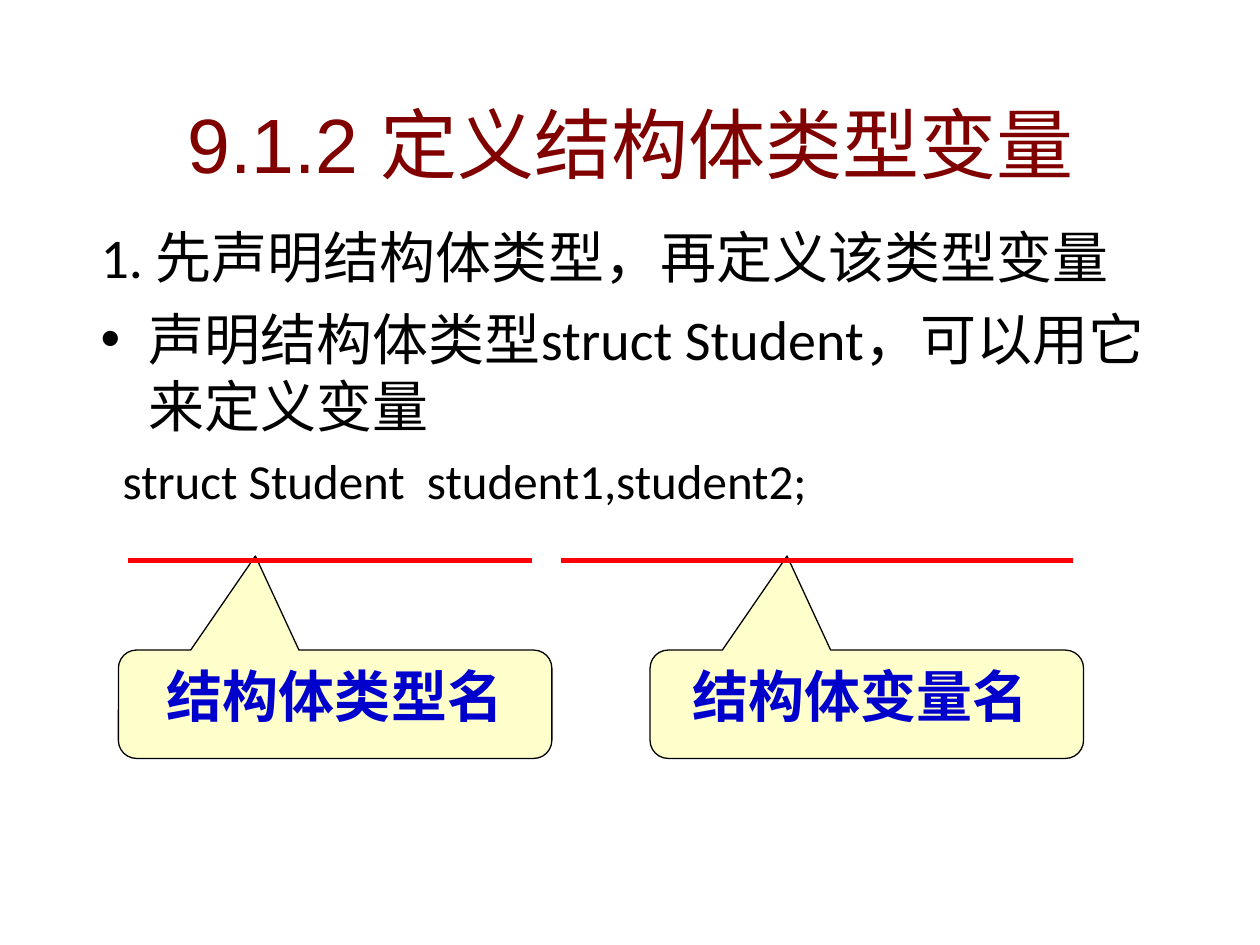
from lxml import etree
from pptx import Presentation
from pptx.dml.color import RGBColor
from pptx.enum.shapes import MSO_CONNECTOR, MSO_SHAPE
from pptx.enum.text import MSO_ANCHOR, MSO_AUTO_SIZE, PP_ALIGN
from pptx.oxml.ns import qn
from pptx.util import Inches, Pt

STRAIGHT = MSO_CONNECTOR.STRAIGHT
CALLOUT = MSO_SHAPE.ROUNDED_RECTANGULAR_CALLOUT
TOP, MIDDLE = MSO_ANCHOR.TOP, MSO_ANCHOR.MIDDLE
NO_AUTOFIT = MSO_AUTO_SIZE.NONE
CENTER, LEFT = PP_ALIGN.CENTER, PP_ALIGN.LEFT

TITLE_FORMAT = {"name": "Arial", "size": Pt(44), "bold": False}
BODY_FORMAT = {"name": "Calibri", "size": Pt(32)}
CODE_FORMAT = {"name": "Calibri", "size": Pt(28)}
LABEL_FORMAT = {"name": "Calibri", "size": Pt(32), "bold": True}


def set_color(color_format, value):
    """Give a colour format a hex colour."""
    color_format.rgb = RGBColor.from_string(value)


def write(paragraph, text, formats, color, alignment=LEFT):
    """Write one formatted run into a paragraph."""
    paragraph.alignment = alignment
    run = paragraph.add_run()
    run.text = text
    for name, value in formats.items():
        setattr(run.font, name, value)
    set_color(run.font.color, color)


def set_indent(paragraph, bullet):
    """Give a paragraph a hanging indent, with a bullet or without."""
    properties = paragraph._p.get_or_add_pPr()
    properties.set("marL", str(Inches(0.38)))
    properties.set("indent", str(-Inches(0.38)))
    if bullet:
        etree.SubElement(properties, qn("a:buFont")).set("typeface", "Arial")
        etree.SubElement(properties, qn("a:buChar")).set("char", bullet)
    else:
        etree.SubElement(properties, qn("a:buNone"))


def place_title(slide, box, text):
    """Move the title placeholder to its box and fill it."""
    title = slide.shapes.title
    title.left, title.top, title.width, title.height = map(Inches, box)
    frame = title.text_frame
    frame.auto_size = NO_AUTOFIT
    frame.vertical_anchor = MIDDLE
    write(frame.paragraphs[0], text, TITLE_FORMAT, "800000", CENTER)


def add_body(slide, box, items):
    """Add the body text from (text, format, bullet, space before) items."""
    frame = slide.shapes.add_textbox(*map(Inches, box)).text_frame
    frame.word_wrap = True
    for index, (text, formats, bullet, space) in enumerate(items):
        paragraph = frame.add_paragraph() if index else frame.paragraphs[0]
        paragraph.space_before = Pt(space)
        set_indent(paragraph, bullet)
        write(paragraph, text, formats, "000000")


def add_callout(slide, box, text):
    """Add a labelled callout that points up at the code."""
    callout = slide.shapes.add_shape(CALLOUT, *map(Inches, box))
    callout.shadow.inherit = False
    for index, value in enumerate((-0.184, -1.369, 0.167)):
        callout.adjustments[index] = value
    callout.fill.solid()
    set_color(callout.fill.fore_color, "FFFFCC")
    set_color(callout.line.color, "000000")
    callout.line.width = Pt(0.75)
    frame = callout.text_frame
    frame.word_wrap = False
    frame.vertical_anchor = TOP
    write(frame.paragraphs[0], text, LABEL_FORMAT, "0000CC", CENTER)


def add_underline(slide, left, right, top):
    """Add a red horizontal line."""
    ends = map(Inches, (left, top, right, top))
    line = slide.shapes.add_connector(STRAIGHT, *ends)
    set_color(line.line.color, "FF0000")
    line.line.width = Pt(3)
    etree.SubElement(line._element.spPr, qn("a:effectLst"))


def main():
    """Build the slide and save it."""
    presentation = Presentation()
    presentation.slide_width = Inches(10)
    presentation.slide_height = Inches(7.5)
    slide = presentation.slides.add_slide(presentation.slide_layouts[5])
    place_title(slide, (0.16, 0.71, 9.69, 0.84), "9.1.2 定义结构体类型变量")
    add_body(slide, (0.7, 1.72, 8.59, 3.67), [
        ("1. 先声明结构体类型，再定义该类型变量", BODY_FORMAT, None, 0),
        ("声明结构体类型struct Student，可以用它来定义变量", BODY_FORMAT, "•", 8),
        ("  struct Student  student1,student2;", CODE_FORMAT, None, 7),
    ])
    for left, text in ((0.94, "结构体类型名"), (5.16, "结构体变量名 ")):
        add_callout(slide, (left, 5.16, 3.44, 0.86), text)
    for left, right in ((1.02, 4.22), (4.45, 8.52)):
        add_underline(slide, left, right, 4.45)
    presentation.save("out.pptx")


if __name__ == "__main__":
    main()
